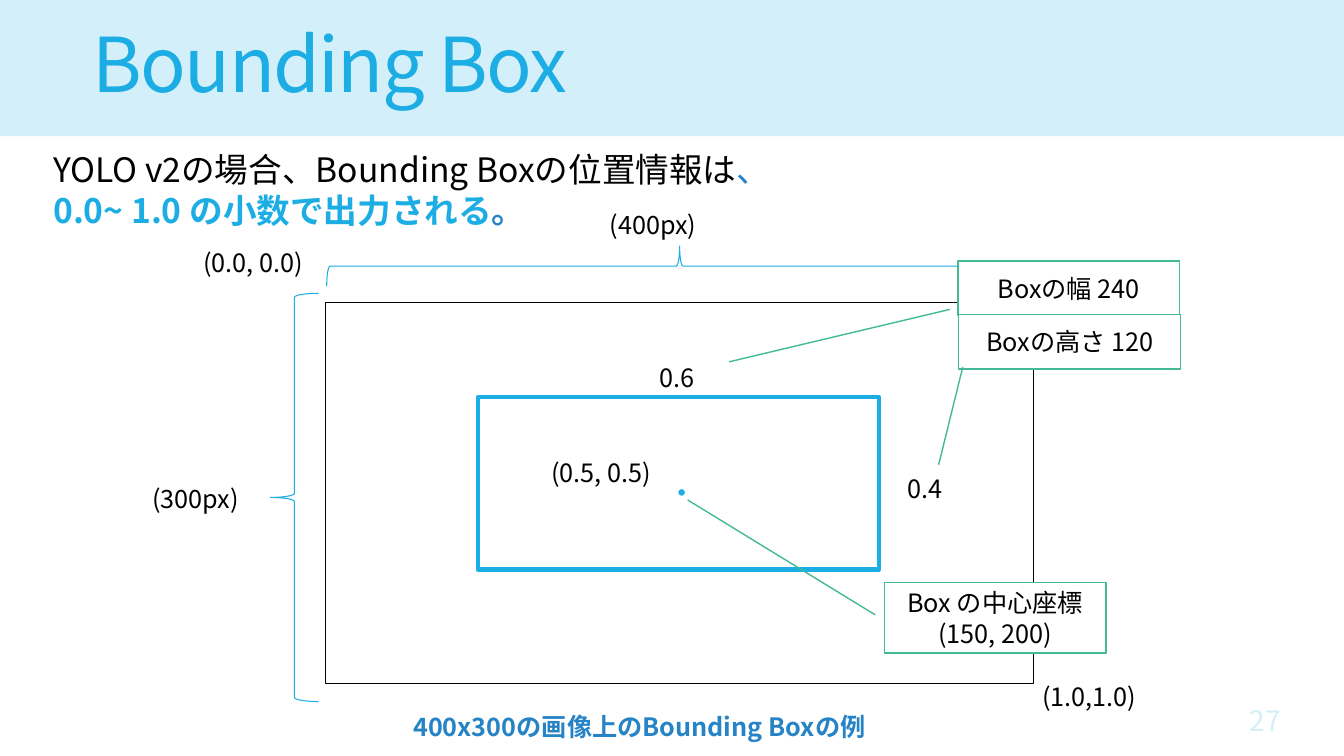
from lxml.etree import SubElement
from pptx import Presentation
from pptx.dml.color import RGBColor
from pptx.enum.shapes import MSO_SHAPE
from pptx.enum.text import MSO_ANCHOR, MSO_AUTO_SIZE, PP_ALIGN
from pptx.oxml.ns import qn
from pptx.util import Inches, Pt

FONT = "Noto Sans CJK JP"
BLACK = RGBColor(0x00, 0x00, 0x00)
WHITE = RGBColor(0xFF, 0xFF, 0xFF)
PALE = RGBColor(0xD2, 0xEF, 0xFA)
SKY = RGBColor(0x1C, 0xAD, 0xE4)
BLUE = RGBColor(0x26, 0x83, 0xC6)
GREEN = RGBColor(0x42, 0xBA, 0x97)

TITLE = "Bounding Box"
INTRO = [
    [("YOLO v2の場合、Bounding Boxの位置情報は", BLACK, False), ("、", BLUE, False)],
    [("0.0~ 1.0 の小数で出力される", SKY, True), ("。", BLUE, True)],
]
CAPTION = "400x300の画像上のBounding Boxの例"
PAGE_NUMBER = "27"
LABELS = [
    ("(1.0,1.0)", 10.24, 6.71, 1.54, True),
    ("(0.0, 0.0)", 1.92, 2.4, 1.5, True),
    ("(0.5, 0.5)", 5.37, 4.49, 1.5, True),
    ("(300px)", 1.41, 4.75, 1.5, True),
    ("(400px)", 5.95, 2.03, 1.5, True),
    ("0.6", 6.44, 3.55, 0.6, False),
    ("0.4", 8.9, 4.65, 0.6, False),
]
CALLOUTS = [
    (["Box の中心座標", "(150, 200)"], (8.77, 5.78, 2.2, 0.7), (6.82, 4.96), (8.68, 6.1)),
    (["Boxの幅 240"], (9.5, 2.59, 2.2, 0.54), (7.23, 3.59), (9.42, 3.07)),
    (["Boxの高さ 120"], (9.51, 3.12, 2.2, 0.54), (9.31, 4.61), (9.55, 3.64)),
]

deck = Presentation()
deck.slide_width, deck.slide_height = Inches(13.33), Inches(7.5)
page = deck.slides.add_slide(deck.slide_layouts[6])


def write(box, lines, size=18, color=BLACK, bold=False, align=PP_ALIGN.LEFT,
          anchor=MSO_ANCHOR.TOP, wrap=True, grow=False, leading=None, tracking=None):
    frame = box.text_frame
    frame.word_wrap = wrap
    frame.vertical_anchor = anchor
    frame.auto_size = MSO_AUTO_SIZE.SHAPE_TO_FIT_TEXT if grow else MSO_AUTO_SIZE.NONE
    for index, line in enumerate(lines):
        para = frame.add_paragraph() if index else frame.paragraphs[0]
        para.alignment = align
        if leading:
            para.line_spacing = leading
        pieces = [(line, color, bold)] if isinstance(line, str) else line
        for text, piece_color, piece_bold in pieces:
            span = para.add_run()
            span.text = text
            span.font.name = FONT
            span.font.size = Pt(size)
            span.font.bold = piece_bold
            span.font.color.rgb = piece_color
            properties = span.font._element
            SubElement(properties, qn("a:ea")).set("typeface", FONT)
            if tracking:
                properties.set("spc", str(int(tracking * 100)))


def add_text(lines, left, top, width, height=0.4, **style):
    box = page.shapes.add_textbox(*map(Inches, (left, top, width, height)))
    write(box, lines, **style)


def add_outline(kind, place, fill=None, line=None, weight=1, rotation=0):
    shape = page.shapes.add_shape(kind, *map(Inches, place))
    shape.shadow.inherit = False
    shape.rotation = rotation
    if fill is None:
        shape.fill.background()
    else:
        shape.fill.solid()
        shape.fill.fore_color.rgb = fill
    if line is None:
        shape.line.fill.background()
    else:
        shape.line.color.rgb = line
        shape.line.width = Pt(weight)
    return shape


def add_callout(lines, place, target, start):
    left, top, width, height = place
    callout = add_outline(MSO_SHAPE.LINE_CALLOUT_1, place, fill=WHITE, line=GREEN)
    for index, (x, y) in enumerate((start, target)):
        callout.adjustments[2 * index] = (y - top) / height
        callout.adjustments[2 * index + 1] = (x - left) / width
    write(callout, lines, align=PP_ALIGN.CENTER, anchor=MSO_ANCHOR.MIDDLE)


add_outline(MSO_SHAPE.RECTANGLE, (0, -0.03, 13.33, 1.38), fill=PALE)
add_text([TITLE], 0.82, 0.17, 11.78, 1.03, size=54, color=SKY,
         anchor=MSO_ANCHOR.MIDDLE, leading=0.85, tracking=-1.2)

image_frame = add_outline(MSO_SHAPE.ROUNDED_RECTANGLE, (3.23, 3, 7.02, 3.78), line=BLACK)
image_frame.adjustments[0] = 0
add_text(INTRO, 0.43, 1.43, 10.3, 0.91, size=24, grow=True)
add_text(["・"], 6.54, 4.69, 0.33, color=SKY, bold=True, wrap=False, grow=True)

add_outline(MSO_SHAPE.LEFT_BRACE, (2.68, 2.91, 0.48, 4.05), line=SKY, weight=0.75)
add_outline(MSO_SHAPE.LEFT_BRACE, (6.54, -0.86, 0.4, 7), line=SKY, weight=0.75, rotation=90)
add_outline(MSO_SHAPE.RECTANGLE, (4.74, 3.94, 3.98, 1.71), line=SKY, weight=3)

for text, left, top, width, wrap in LABELS:
    add_text([text], left, top, width, wrap=wrap, grow=True)
for callout in CALLOUTS:
    add_callout(*callout)

add_text([CAPTION], 4, 7.01, 5.1, color=BLUE, bold=True, wrap=False, grow=True)
add_text([PAGE_NUMBER], 11.8, 6.95, 1, size=20, color=PALE,
         align=PP_ALIGN.RIGHT, anchor=MSO_ANCHOR.MIDDLE)

deck.save("out.pptx")
